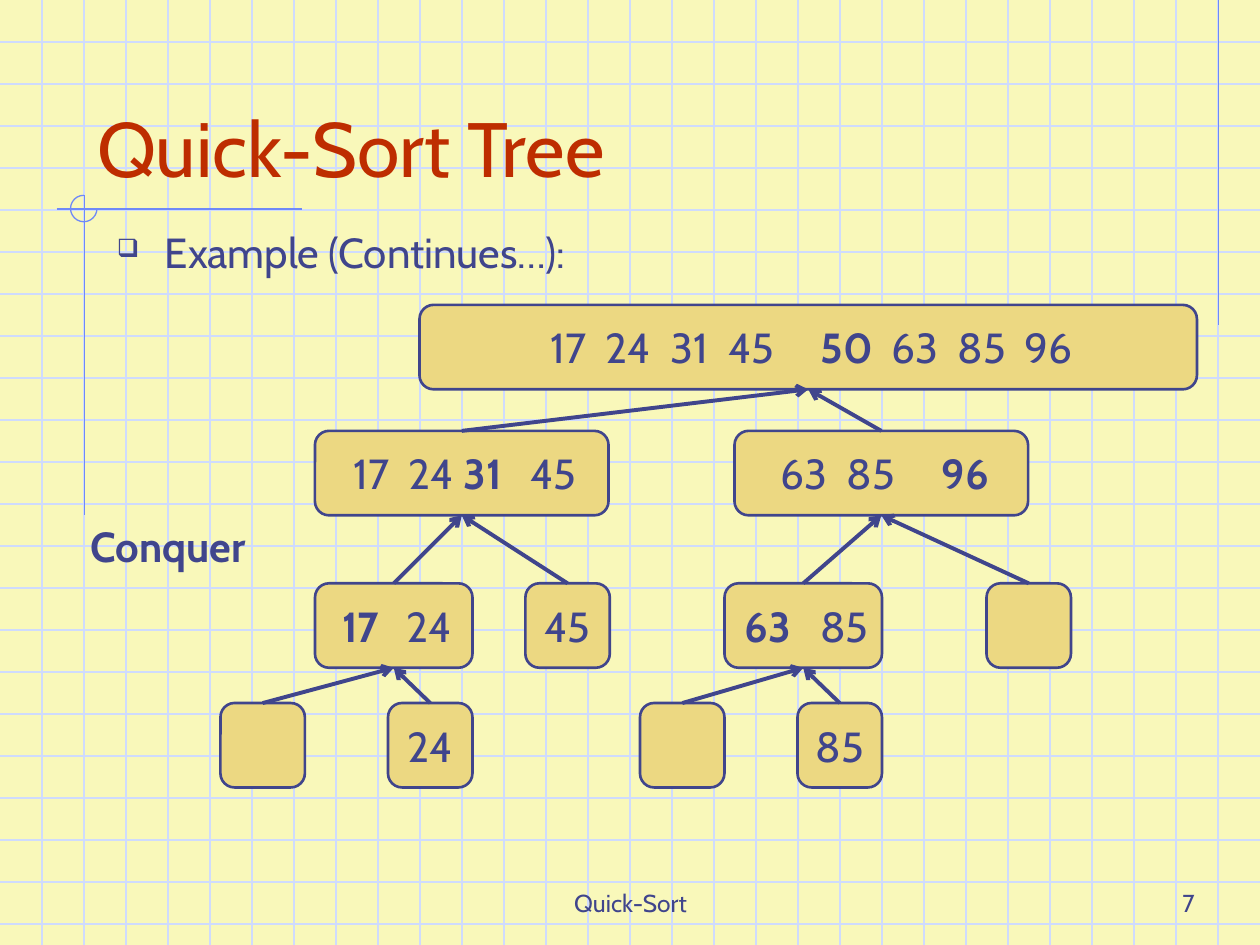
from dataclasses import dataclass
from typing import Optional

from lxml.etree import SubElement
from pptx import Presentation
from pptx.dml.color import RGBColor
from pptx.enum.shapes import MSO_CONNECTOR as CONN, MSO_SHAPE as SHAPE
from pptx.enum.text import MSO_ANCHOR as ANCHOR, PP_ALIGN as ALIGN
from pptx.oxml.ns import qn
from pptx.util import Inches, Pt

COLORS = {
    "paper": "F9F8BA",
    "grid": "CFDBFD",
    "accent": "6F89F7",
    "title": "BE2D00",
    "ink": "40458C",
    "node": "ECD882",
}
FONT = "Cabin"
WIDTH, HEIGHT = 10, 7.5
NODE_HEIGHT = 0.67
TOPS = (2.42, 3.42, 4.63, 5.58)  # one per tree level


@dataclass
class Node:
    left: float
    level: int
    width: float = NODE_HEIGHT
    values: tuple[str, ...] = ()
    centres: tuple[float, ...] = ()  # centre of each value, from the node's left
    pivot: Optional[str] = None
    parent: Optional[str] = None


@dataclass
class Label:
    left: float
    top: float
    width: float
    height: float
    text: str
    size: int
    align: ALIGN
    anchor: ANCHOR = ANCHOR.TOP
    bold: bool = False


NODES = {
    "root": Node(3.33, 0, 6.17, ("17", "24", "31", "45", "50", "63", "85", "96"),
                 (1.15, 1.62, 2.11, 2.6, 3.36, 3.9, 4.43, 4.96), "50"),
    "low": Node(2.5, 1, 2.33, ("17", "24", "31", "45"),
                (0.42, 0.89, 1.3, 1.86), "31", "root"),
    "high": Node(5.83, 1, 2.33, ("63", "85", "96"),
                 (0.52, 1.05, 1.8), "96", "root"),
    "low pair": Node(2.5, 2, 1.25, ("17", "24"), (0.33, 0.87), "17", "low"),
    "45": Node(4.17, 2, values=("45",), parent="low"),
    "high pair": Node(5.75, 2, 1.25, ("63", "85"), (0.31, 0.92), "63", "high"),
    "high empty": Node(7.83, 2, parent="high"),
    "17 empty": Node(1.75, 3, parent="low pair"),
    "24": Node(3.08, 3, values=("24",), parent="low pair"),
    "63 empty": Node(5.08, 3, parent="high pair"),
    "85": Node(6.33, 3, values=("85",), parent="high pair"),
}

BULLET = Label(0.83, 1.75, 5.25, 0.75, "Example (Continues…):", 24, ALIGN.LEFT)
LABELS = (
    Label(0.42, 4.08, 1.83, 0.5, "Conquer", 24, ALIGN.CENTER, bold=True),
    Label(3.42, 6.83, 3.17, 0.5, "Quick-Sort", 14, ALIGN.CENTER, ANCHOR.BOTTOM),
    Label(7.5, 6.83, 2.08, 0.5, "7", 14, ALIGN.RIGHT, ANCHOR.BOTTOM),
)


def rgb(name: str) -> RGBColor:
    return RGBColor.from_string(COLORS[name])


def style_run(r, size: int, color: str = "ink", bold: bool = False) -> None:
    r.font.name = FONT
    r.font.size = Pt(size)
    r.font.bold = bold
    r.font.color.rgb = rgb(color)


def add_line(shapes, x1: float, y1: float, x2: float, y2: float,
             color: str, weight: float = 0.75):
    line = shapes.add_connector(CONN.STRAIGHT, *map(Inches, (x1, y1, x2, y2)))
    line.line.color.rgb = rgb(color)
    line.line.width = Pt(weight)
    SubElement(line._element.spPr, qn("a:effectLst"))
    return line


def add_label(shapes, label: Label):
    s = shapes.add_textbox(*map(Inches, (label.left, label.top, label.width, label.height)))
    tf = s.text_frame
    tf.word_wrap = True
    tf.vertical_anchor = label.anchor
    tf.text = label.text
    p = tf.paragraphs[0]
    p.alignment = label.align
    style_run(p.runs[0], label.size, bold=label.bold)
    return s


def add_bullet(p) -> None:
    pPr = p._p.get_or_add_pPr()
    pPr.set("marL", str(Inches(0.38)))
    pPr.set("indent", str(-Inches(0.38)))
    SubElement(pPr, qn("a:buSzPct")).set("val", "60000")
    SubElement(pPr, qn("a:buChar")).set("char", "❑")


def add_centre_tabs(p, centres: tuple[float, ...]) -> None:
    tabs = SubElement(p._p.get_or_add_pPr(), qn("a:tabLst"))
    for x in centres:
        tab = SubElement(tabs, qn("a:tab"))
        tab.set("pos", str(Inches(x)))
        tab.set("algn", "ctr")


def add_node(shapes, node: Node):
    s = shapes.add_shape(SHAPE.ROUNDED_RECTANGLE, *map(
        Inches, (node.left, TOPS[node.level], node.width, NODE_HEIGHT)))
    s.shadow.inherit = False
    s.fill.solid()
    s.fill.fore_color.rgb = rgb("node")
    s.line.color.rgb = rgb("ink")
    s.line.width = Pt(1.5)
    tf = s.text_frame
    tf.margin_left = tf.margin_right = 0
    tf.vertical_anchor = ANCHOR.MIDDLE
    p = tf.paragraphs[0]
    p.alignment = ALIGN.LEFT if node.centres else ALIGN.CENTER
    if node.centres:
        add_centre_tabs(p, node.centres)
    for value in node.values:
        r = p.add_run()
        r.text = f"\t{value}" if node.centres else value
        style_run(r, 24, bold=value == node.pivot)
    return s


def add_arrow(shapes, child, parent) -> None:
    arrow = add_line(shapes, 0, 0, 1, 1, "ink", 2.25)
    arrow.begin_connect(child, 0)  # top centre
    arrow.end_connect(parent, 2)  # bottom centre
    SubElement(arrow.line._get_or_add_ln(), qn("a:tailEnd")).set("type", "arrow")


def main() -> None:
    prs = Presentation()
    prs.slide_width, prs.slide_height = Inches(WIDTH), Inches(HEIGHT)
    slide = prs.slides.add_slide(prs.slide_layouts[5])
    shapes = slide.shapes
    slide.background.fill.solid()
    slide.background.fill.fore_color.rgb = rgb("paper")

    # Graph paper, three squares to the inch
    for i in range(1, 23):
        add_line(shapes, 0, i / 3, WIDTH, i / 3, "grid")
    for i in range(1, 30):
        add_line(shapes, i / 3, 0, i / 3, HEIGHT, "grid")

    # Accent rules and three-quarter circle
    add_line(shapes, 9.67, 0, 9.67, 2.58, "accent")
    add_line(shapes, 0.45, 1.66, 2.4, 1.66, "accent")
    add_line(shapes, 0.67, 1.55, 0.67, 4.09, "accent")
    arc = shapes.add_shape(SHAPE.ARC, *map(Inches, (0.56, 1.55, 0.21, 0.21)))
    arc.adjustments[0], arc.adjustments[1] = 0, 162  # 0 to 270 degrees
    arc.shadow.inherit = False
    arc.fill.background()
    arc.line.color.rgb = rgb("accent")
    arc.line.width = Pt(0.75)

    # Title, brought in front of the graph paper
    title = shapes.title
    title.left, title.top, title.width, title.height = map(Inches, (0.67, 0.33, 8.5, 1.25))
    tf = title.text_frame
    tf.text = "Quick-Sort Tree"
    tf.vertical_anchor = ANCHOR.BOTTOM
    tf.paragraphs[0].alignment = ALIGN.LEFT
    style_run(tf.paragraphs[0].runs[0], 44, "title")
    shapes._spTree.append(title._element)

    # Bullet line, labels and footer
    add_bullet(add_label(shapes, BULLET).text_frame.paragraphs[0])
    for label in LABELS:
        add_label(shapes, label)

    # Tree
    boxes = {name: add_node(shapes, node) for name, node in NODES.items()}
    for name, node in NODES.items():
        if node.parent:
            add_arrow(shapes, boxes[name], boxes[node.parent])

    prs.save("out.pptx")


if __name__ == "__main__":
    main()
